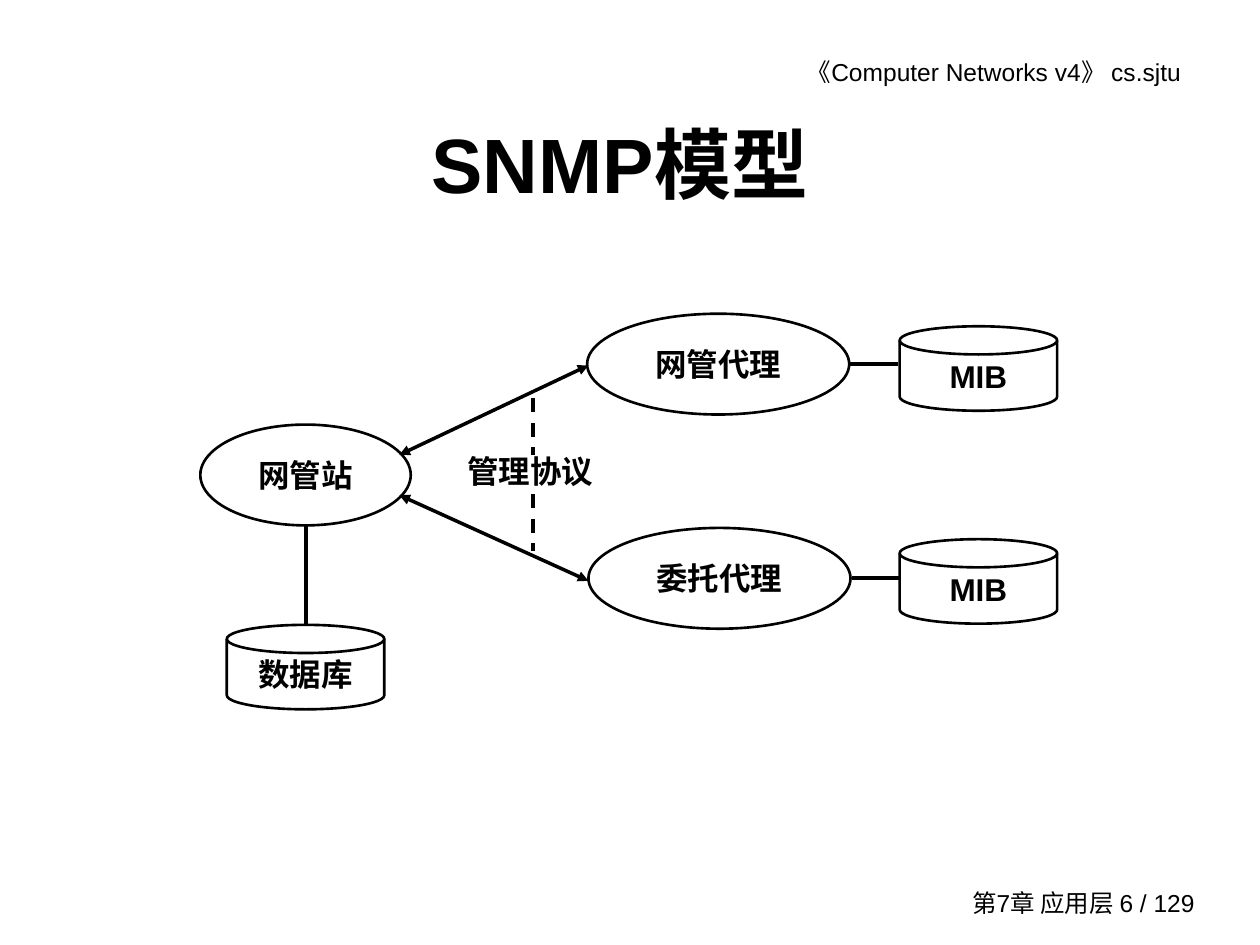
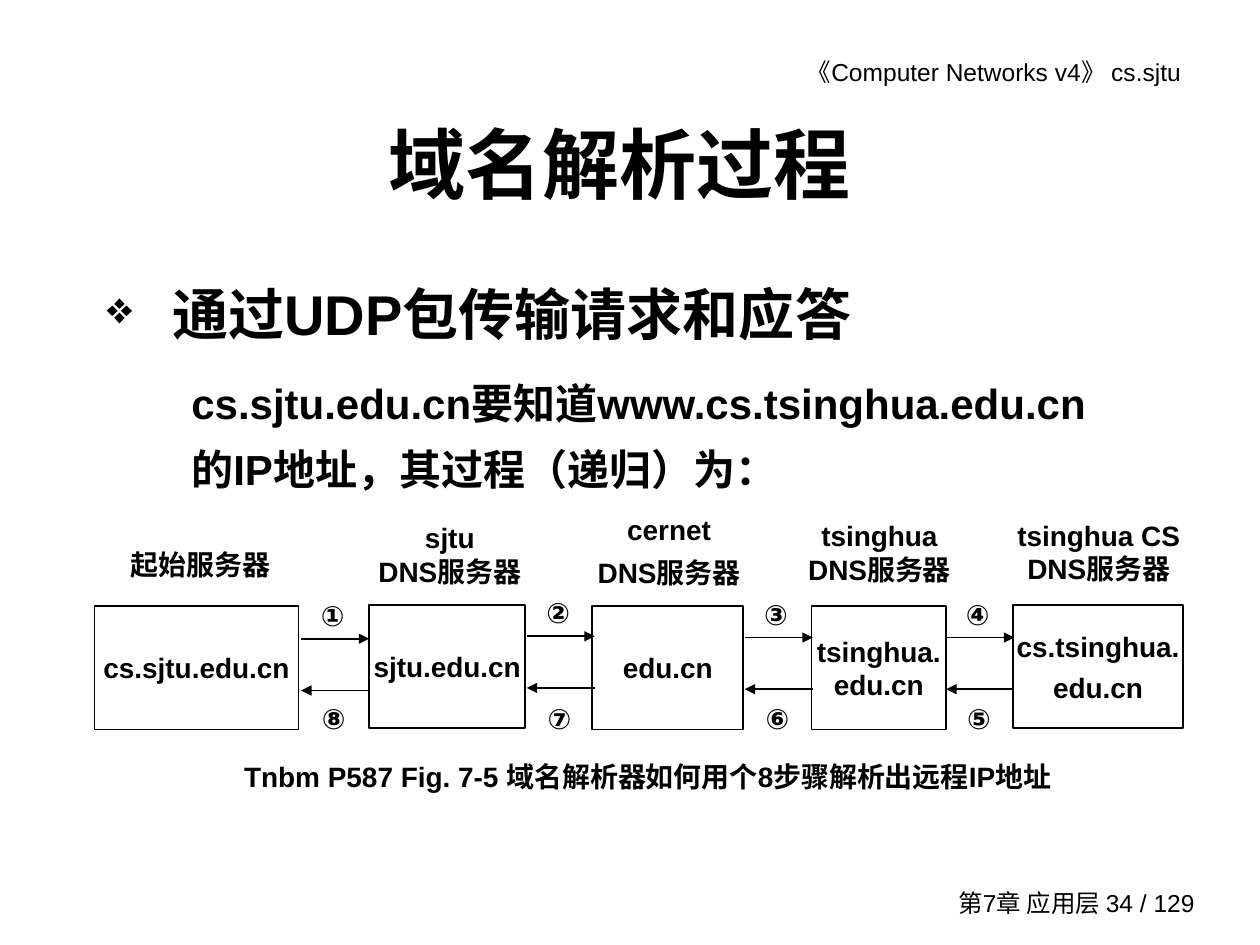
from lxml import etree
from pptx import Presentation
from pptx.dml.color import RGBColor
from pptx.enum.dml import MSO_LINE
from pptx.enum.shapes import MSO_CONNECTOR, MSO_SHAPE
from pptx.enum.text import MSO_ANCHOR, PP_ALIGN
from pptx.oxml.ns import qn
from pptx.util import Inches, Pt

LEFT, MID, RIGHT = PP_ALIGN.LEFT, PP_ALIGN.CENTER, PP_ALIGN.RIGHT
TOP, CENTER = MSO_ANCHOR.TOP, MSO_ANCHOR.MIDDLE
OVAL, DISK, RECT = MSO_SHAPE.OVAL, MSO_SHAPE.FLOWCHART_MAGNETIC_DISK, MSO_SHAPE.RECTANGLE
STRAIGHT, DASH = MSO_CONNECTOR.STRAIGHT, MSO_LINE.DASH

FONT = "Arial"
COLORS = {"ink": "000000", "page": "FFFFFF"}
INK = RGBColor.from_string(COLORS["ink"])


def put(slide, at, text, size=18, bold=True, form=None, edge=1.5,
        align=MID, anchor=CENTER, inset=0.1, lines=None, gap=0):
    """Add a text box, or an outlined preset shape if form is given."""
    place = [Inches(n) for n in at]
    if form is None:
        shape = slide.shapes.add_textbox(*place)
    else:
        shape = slide.shapes.add_shape(form, *place)
        shape.shadow.inherit = False
        shape.fill.background()
        shape.line.color.rgb = INK
        shape.line.width = Pt(edge)
    frame = shape.text_frame
    frame.word_wrap = True
    frame.vertical_anchor = anchor
    frame.margin_left = frame.margin_right = Inches(inset)
    frame.text = text
    for i, para in enumerate(frame.paragraphs):
        para.alignment = align
        if lines:
            para.line_spacing = lines
        if i and gap:
            para.space_before = Pt(gap)
        for run in para.runs:
            run.font.name = FONT
            run.font.size = Pt(size)
            run.font.bold = bold
            run.font.color.rgb = INK
    return shape


def link(slide, x1, y1, x2, y2, width=1, ends=(), dash=None):
    """Draw a line; ends names the arrowheads, headEnd before tailEnd."""
    line = slide.shapes.add_connector(
        STRAIGHT, Inches(x1), Inches(y1), Inches(x2), Inches(y2))
    line.line.color.rgb = INK
    line.line.width = Pt(width)
    if dash:
        line.line.dash_style = dash
    props = line._element.spPr
    for end in ends:
        etree.SubElement(props.find(qn("a:ln")), qn("a:" + end), type="triangle")
    etree.SubElement(props, qn("a:effectLst"))


deck = Presentation()
deck.slide_width, deck.slide_height = Inches(10), Inches(7.5)
fill = deck.slide_master.background.fill
fill.solid()
fill.fore_color.rgb = RGBColor.from_string(COLORS["page"])

# Title, header and footer of every slide
slides = []
for name, page in [("SNMP模型", 6), ("域名解析过程", 34)]:
    slide = deck.slides.add_slide(deck.slide_layouts[5])
    put(slide, (5.28, 0.4, 4.19, 0.34), "《Computer Networks v4》 cs.sjtu",
        14, False, align=RIGHT, anchor=TOP)
    put(slide, (7.08, 7, 2.5, 0.33), f"第7章 应用层 {page} / 129",
        14, False, align=RIGHT)
    title = slide.shapes.title
    title.left, title.top = Inches(0.67), Inches(0.67)
    title.width, title.height = Inches(8.5), Inches(1.25)
    title.text_frame.text = name
    title.text_frame.vertical_anchor = CENTER
    para = title.text_frame.paragraphs[0]
    para.alignment = MID
    font = para.runs[0].font
    font.name, font.size, font.bold = FONT, Pt(44), True
    font.color.rgb = INK
    slides.append(slide)
snmp, dns = slides

# SNMP model
for x, y, wide, text in [(1.59, 3.37, 1.67, "网管站"),
                         (4.66, 2.49, 2.08, "网管代理"),
                         (4.67, 4.19, 2.08, "委托代理")]:
    put(snmp, (x, y, wide, 0.8), text, form=OVAL)
for x, y, text in [(1.8, 4.96, "数据库"), (7.14, 2.59, "MIB"), (7.14, 4.28, "MIB")]:
    put(snmp, (x, y, 1.25, 0.67), text, form=DISK)
for y1, y2 in [(3.61, 2.9), (3.93, 4.61)]:
    link(snmp, 3.17, y1, 4.67, y2, 2, ("headEnd", "tailEnd"))
for ends in [(2.43, 4.17, 2.43, 4.96), (6.74, 2.89, 7.13, 2.89), (6.76, 4.59, 7.14, 4.59)]:
    link(snmp, *ends, width=2.25)
put(snmp, (3.52, 3.53, 1.38, 0.41), "管理协议")
for y in (3.16, 3.92):
    link(snmp, 4.23, y, 4.23, y + 0.45, 2, dash=DASH)

# Name resolution: bullet and question
point = put(dns, (0.75, 2.17, 8.5, 0.83), "通过UDP包传输请求和应答", 32,
            align=LEFT, anchor=TOP)
props = point.text_frame.paragraphs[0]._p.get_or_add_pPr()
props.set("marL", str(Inches(0.52)))
props.set("indent", str(-Inches(0.52)))
color = etree.SubElement(props, qn("a:buClr"))
etree.SubElement(color, qn("a:srgbClr"), val=COLORS["ink"])
etree.SubElement(props, qn("a:buSzPct"), val="80000")
etree.SubElement(props, qn("a:buChar"), char="❖")
put(dns, (1.42, 2.83, 7.58, 1.14),
    "cs.sjtu.edu.cn要知道www.cs.tsinghua.edu.cn的IP地址，其过程（递归）为：",
    24, align=LEFT, anchor=TOP, lines=1.3)

# Servers: box left, top, width, host; label left, top, width, height, text
servers = [
    (0.75, 4.81, 1.62, "cs.sjtu.edu.cn", (0.78, 4.14, 1.62, 0.67), "起始服务器"),
    (2.93, 4.8, 1.24, "sjtu.edu.cn", (2.94, 3.99, 1.26, 0.82), "sjtu\nDNS服务器"),
    (4.7, 4.81, 1.2, "edu.cn", (4.65, 3.96, 1.32, 0.85), "cernet\nDNS服务器"),
    (6.44, 4.81, 1.07, "tsinghua.edu.cn", (6.27, 3.97, 1.42, 0.83), "tsinghua\nDNS服务器"),
    (8.04, 4.8, 1.35, "cs.tsinghua.\nedu.cn", (8.01, 3.97, 1.42, 0.82),
     "tsinghua CS\nDNS服务器"),
]
for x, y, wide, host, at, label in servers:
    put(dns, (x, y, wide, 0.98), host, 16, form=RECT, edge=1, inset=0.02, gap=4)
    loose = label.startswith("cernet")
    put(dns, at, label, 16, inset=0.02,
        lines=0.96 if loose else None, gap=6 if loose else 0)

# Request and reply arrows between neighbours
steps = [(2.39, 5.07, "①", "⑧"), (4.18, 5.05, "②", "⑦"),
         (5.91, 5.06, "③", "⑥"), (7.51, 5.06, "④", "⑤")]
for x, y, ask, reply in steps:
    end, back = x + 0.54, y + 0.41
    link(dns, x, y, end, y, ends=("tailEnd",))
    link(dns, end, back, x, back, ends=("tailEnd",))
    for left, top, mark in [(x - 0.05, y - 0.57, ask), (x - 0.04, 5.32, reply)]:
        put(dns, (left, top, 0.6, 0.65), mark, 16, inset=0.02, lines=1.44)

put(dns, (1.64, 5.98, 7, 0.37),
    "Tnbm P587 Fig. 7-5 域名解析器如何用个8步骤解析出远程IP地址", 16, anchor=TOP)

deck.save("out.pptx")
